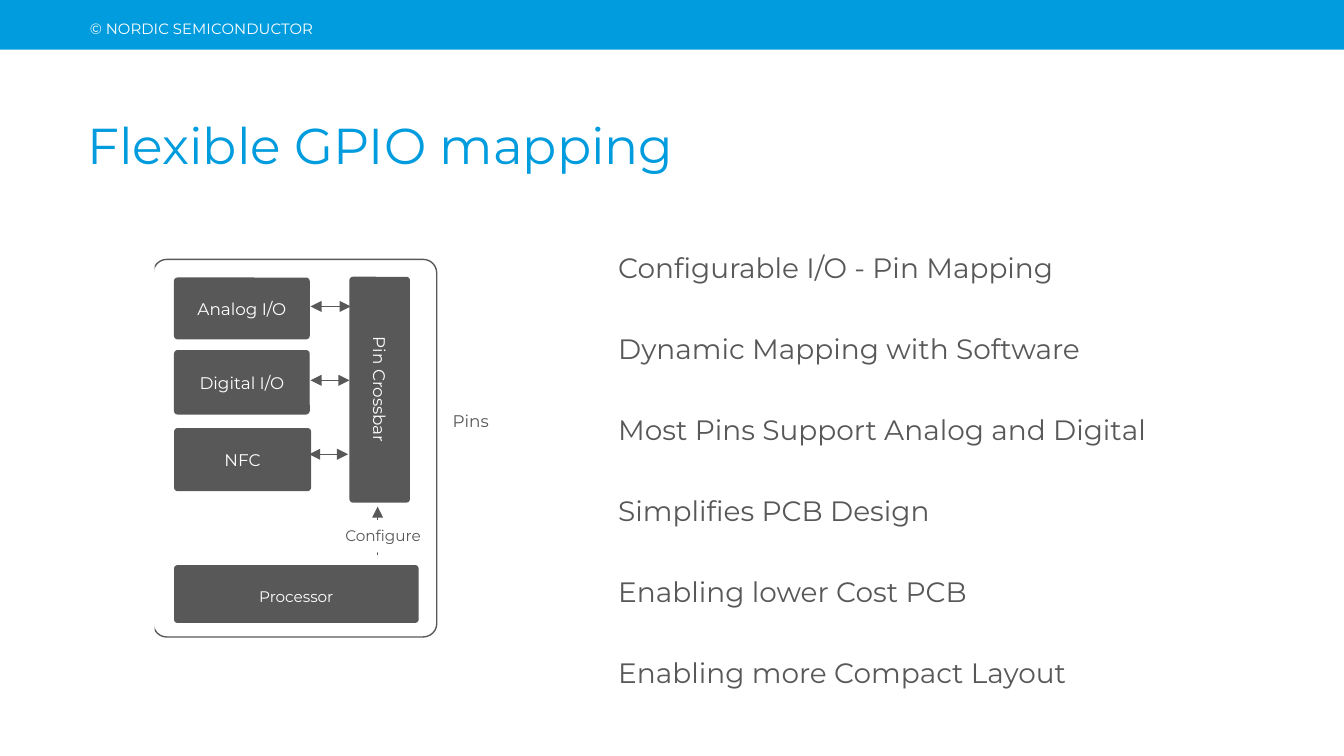
from pptx import Presentation
from pptx.dml.color import RGBColor
from pptx.enum.shapes import MSO_CONNECTOR as CONN, MSO_SHAPE as SHAPE
from pptx.enum.text import MSO_ANCHOR as ANCHOR, MSO_AUTO_SIZE as FIT, PP_ALIGN as ALIGN
from pptx.oxml.ns import qn
from pptx.util import Inches, Pt
from lxml.etree import SubElement

COLORS = {"blue": "009CDE", "gray": "585858", "white": "FFFFFF"}


def rgb(name):
    return RGBColor.from_string(COLORS[name])


class SlideBuilder:
    font = "Montserrat"
    line_width = Pt(0.75)
    corner = 0.048

    def __init__(self, slide):
        self.slide = slide

    def place(self, sp, box):
        sp.left, sp.top, sp.width, sp.height = map(Inches, box)

    def format(self, p, size, color, align=ALIGN.LEFT, spacing=None):
        p.alignment = align
        if spacing:
            p.line_spacing = spacing
        for r in p.runs:
            r.font.name = self.font
            r.font.size = Pt(size)
            r.font.color.rgb = rgb(color)

    def title(self, text, box):
        sp = self.slide.shapes.title
        self.place(sp, box)
        tf = sp.text_frame
        tf.text = text
        tf.auto_size = FIT.NONE
        tf.vertical_anchor = ANCHOR.BOTTOM
        self.format(tf.paragraphs[0], 27, "blue", spacing=Pt(35))

    def body(self, lines, box):
        sp = self.slide.placeholders[1]
        self.place(sp, box)
        tf = sp.text_frame
        tf.text = "\n".join(lines)
        tf.auto_size = FIT.NONE
        tf.vertical_anchor = ANCHOR.MIDDLE
        for i, p in enumerate(tf.paragraphs):
            pPr = p._p.get_or_add_pPr()
            pPr.set("marL", "0")
            pPr.set("indent", "0")
            SubElement(pPr, qn("a:buNone"))
            p.space_before = Pt(15 if i else 0)
            p.space_after = Pt(5)
            self.format(p, 15, "gray", spacing=1.3)

    def text(self, text, box, size, color, spacing=None):
        sp = self.slide.shapes.add_textbox(*map(Inches, box))
        tf = sp.text_frame
        tf.word_wrap = True
        tf.text = text
        self.format(tf.paragraphs[0], size, color, spacing=spacing)

    def shape(self, kind, box, fill=None, line=None, rotation=0):
        sp = self.slide.shapes.add_shape(kind, *map(Inches, box))
        sp.shadow.inherit = False
        sp.rotation = rotation
        if kind == SHAPE.ROUNDED_RECTANGLE:
            sp.adjustments[0] = self.corner
        if fill:
            sp.fill.solid()
            sp.fill.fore_color.rgb = rgb(fill)
        else:
            sp.fill.background()
        if line:
            sp.line.color.rgb = rgb(line)
            sp.line.width = self.line_width
        else:
            sp.line.fill.background()
        return sp

    def block(self, text, box, size=9, rotation=0, spacing=None):
        sp = self.shape(SHAPE.ROUNDED_RECTANGLE, box, "gray", "gray", rotation)
        tf = sp.text_frame
        tf.margin_left = tf.margin_right = Inches(0.07)
        tf.margin_top = tf.margin_bottom = Inches(0.04)
        tf.vertical_anchor = ANCHOR.MIDDLE
        tf.text = text
        self.format(tf.paragraphs[0], size, "white", ALIGN.CENTER, spacing)

    def label(self, text, box, size, align=ALIGN.LEFT, margin=0.1):
        sp = self.shape(SHAPE.RECTANGLE, box, "white")
        tf = sp.text_frame
        tf.margin_left = tf.margin_right = Inches(margin)
        tf.vertical_anchor = ANCHOR.TOP
        tf.auto_size = FIT.SHAPE_TO_FIT_TEXT
        tf.text = text
        self.format(tf.paragraphs[0], size, "gray", align)

    def arrow(self, start, end, both=False):
        """Line with an arrowhead at its start, or at both ends."""
        cx = self.slide.shapes.add_connector(CONN.STRAIGHT, *map(Inches, start + end))
        cx.line.color.rgb = rgb("gray")
        cx.line.width = self.line_width
        ln = cx.line._get_or_add_ln()
        for tag in ("a:headEnd", "a:tailEnd") if both else ("a:headEnd",):
            SubElement(ln, qn(tag), type="triangle")
        SubElement(cx._element.spPr, qn("a:effectLst"))


def main():
    prs = Presentation()
    prs.slide_width = Inches(10)
    prs.slide_height = prs.slide_width * 9 // 16
    s = SlideBuilder(prs.slides.add_slide(prs.slide_layouts[1]))

    s.shape(SHAPE.RECTANGLE, (0, 0, 10, 0.37), "blue")
    s.text("© NORDIC SEMICONDUCTOR", (0.57, 0.07, 3.63, 0.29), 8, "white", 1.2)
    s.title("Flexible GPIO mapping", (0.55, 0.53, 8.91, 0.82))
    s.body([
        "Configurable I/O - Pin Mapping",
        "Dynamic Mapping with Software",
        "Most Pins Support Analog and Digital",
        "Simplifies PCB Design",
        "Enabling lower Cost PCB",
        "Enabling more Compact Layout",
    ], (4.5, 1.75, 4.13, 3.42))

    s.block("Pin Crossbar", (1.99, 2.68, 1.67, 0.44), rotation=90)
    peripherals = [
        ("Analog I/O", 2.07, 1, 0.45),
        ("Digital I/O", 2.61, 1, 0.47),
        ("NFC", 3.19, 1.01, 0.46),
    ]
    for name, top, width, height in peripherals:
        s.block(name, (1.3, top, width, height))
    s.block("Processor", (1.3, 4.21, 1.81, 0.42), 8.2, spacing=1.3)

    s.arrow((2.81, 3.77), (2.81, 4.13))
    s.label("Configure", (2.44, 3.87, 0.82, 0.24), 8.2, ALIGN.CENTER, 0.03)
    for left, right, y in [(2.31, 2.61, 2.28), (2.31, 2.6, 2.83), (2.3, 2.59, 3.38)]:
        s.arrow((left, y), (right, y), both=True)

    # The white strip leaves the chip outline open on its left side
    s.shape(SHAPE.ROUNDED_RECTANGLE, (1.14, 1.93, 2.11, 2.81), line="gray")
    s.label("Pins", (3.27, 3.01, 0.53, 0.25), 9)
    s.shape(SHAPE.RECTANGLE, (-0.56, 3.21, 3.17, 0.25), "white", rotation=270)

    prs.save("out.pptx")


if __name__ == "__main__":
    main()
